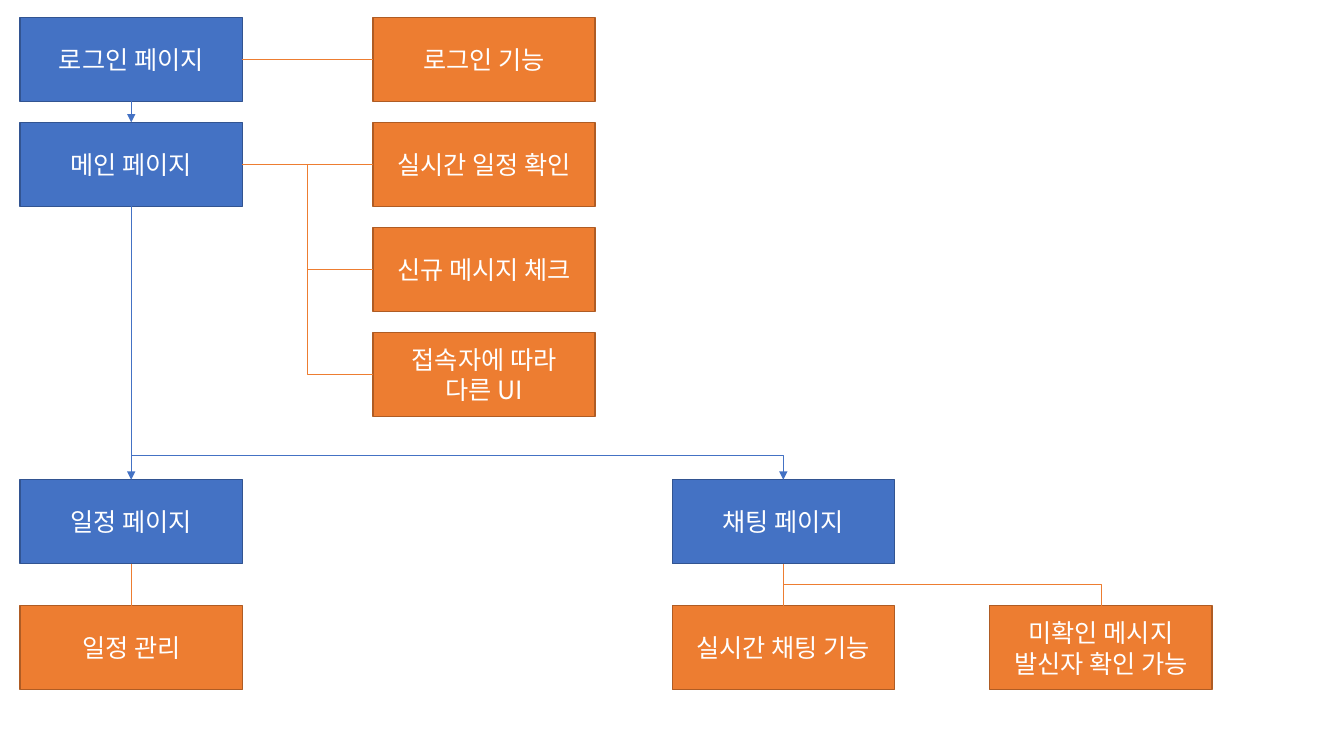
import pptx
import pptx.util
import pptx.dml.color
import pptx.enum.shapes
import pptx.enum.text
import pptx.oxml
import pptx.oxml.ns
from lxml import etree

Pt = pptx.util.Pt
KIND = pptx.enum.shapes.MSO_CONNECTOR

# Content: key -> (style, column, row, lines)
BOXES = {
    "login": ("page", 0, 0, ["로그인 페이지"]),
    "main": ("page", 0, 1, ["메인 페이지"]),
    "plan": ("page", 0, 4, ["일정 페이지"]),
    "chat": ("page", 2, 4, ["채팅 페이지"]),
    "sign": ("task", 1, 0, ["로그인 기능"]),
    "today": ("task", 1, 1, ["실시간 일정 확인"]),
    "news": ("task", 1, 2, ["신규 메시지 체크"]),
    "view": ("task", 1, 3, ["접속자에 따라", "다른 UI"]),
    "manage": ("task", 0, 5, ["일정 관리"]),
    "talk": ("task", 2, 5, ["실시간 채팅 기능"]),
    "unread": ("task", 3, 5, ["미확인 메시지", "발신자 확인 가능"]),
}

# Links: (from, to, style, direction, bend position or None)
LINKS = [
    ("main", "plan", "page", "down", None),
    ("main", "chat", "page", "down", 0.91),
    ("login", "main", "page", "down", None),
    ("login", "sign", "task", "right", None),
    ("main", "today", "task", "right", None),
    ("main", "news", "task", "right", 0.5),
    ("main", "view", "task", "right", 0.5),
    ("chat", "talk", "task", "down", None),
    ("plan", "manage", "task", "down", None),
    ("chat", "unread", "task", "down", 0.5),
]

THEME = {
    "page": ("4472C4", "325491"),
    "task": ("ED7D31", "AF5C24"),
    "text": "FFFFFF",
    "font": "Noto Sans CJK KR",
    "size": 18,
    "edge": 1,
    "wire": 0.5,
}

# Layout
WIDE, HIGH = 158.7, 60
COLS = [14.4, 266.4, 480.2, 707]
ROWS = [12.4 + 75 * n for n in range(4)] + [342.7, 432.7]
SITES = {"down": (2, 0), "right": (3, 1)}


def color(code):
    return pptx.dml.color.RGBColor.from_string(code)


def add_box(slide, style, col, row, lines):
    box = slide.shapes.add_shape(
        pptx.enum.shapes.MSO_SHAPE.RECTANGLE,
        Pt(COLS[col]), Pt(ROWS[row]), Pt(WIDE), Pt(HIGH))
    fill, edge = THEME[style]
    box.shadow.inherit = False
    box.fill.solid()
    box.fill.fore_color.rgb = color(fill)
    box.line.color.rgb = color(edge)
    box.line.width = Pt(THEME["edge"])
    frame = box.text_frame
    frame.word_wrap = True
    frame.vertical_anchor = pptx.enum.text.MSO_ANCHOR.MIDDLE
    for n, line in enumerate(lines):
        para = frame.add_paragraph() if n else frame.paragraphs[0]
        para.alignment = pptx.enum.text.PP_ALIGN.CENTER
        run = para.add_run()
        run.text = line
        font = run.font
        font.name = THEME["font"]
        font.size = Pt(THEME["size"])
        font.color.rgb = color(THEME["text"])
        face = etree.SubElement(font._element, pptx.oxml.ns.qn("a:ea"))
        face.set("typeface", THEME["font"])
    return box


def turn(wire):
    """Make an elbow leave downwards: a quarter turn about its centre."""
    left, top, wide, high = wire.left, wire.top, wire.width, wire.height
    wire.left = left + (wide - high) // 2
    wire.top = top + (high - wide) // 2
    wire.width, wire.height = high, wide
    form = wire._element.spPr.find(pptx.oxml.ns.qn("a:xfrm"))
    form.set("rot", "16200000")
    form.set("flipH", "1")


def add_link(slide, start, end, style, way, bend):
    kind = KIND.STRAIGHT if bend is None else KIND.ELBOW
    wire = slide.shapes.add_connector(kind, 0, 0, 0, 0)
    out, into = SITES[way]
    wire.begin_connect(start, out)
    wire.end_connect(end, into)
    wire.line.color.rgb = color(THEME[style][0])
    wire.line.width = Pt(THEME["wire"])
    props = wire._element.spPr
    etree.SubElement(props, pptx.oxml.ns.qn("a:effectLst"))
    if bend is not None:
        guides = props.find(".//" + pptx.oxml.ns.qn("a:avLst"))
        guide = etree.SubElement(guides, pptx.oxml.ns.qn("a:gd"))
        guide.set("name", "adj1")
        guide.set("fmla", f"val {round(bend * 100000)}")
        if way == "down":
            turn(wire)
    # Links between pages carry an arrowhead
    if style == "page":
        tip = etree.SubElement(wire.line._get_or_add_ln(), pptx.oxml.ns.qn("a:tailEnd"))
        tip.set("type", "triangle")


def main():
    deck = pptx.Presentation()
    deck.slide_width, deck.slide_height = Pt(960), Pt(540)
    slide = deck.slides.add_slide(deck.slide_layouts[6])
    boxes = {key: add_box(slide, *item) for key, item in BOXES.items()}
    for start, end, *rest in LINKS:
        add_link(slide, boxes[start], boxes[end], *rest)
    deck.save("out.pptx")


if __name__ == "__main__":
    main()
